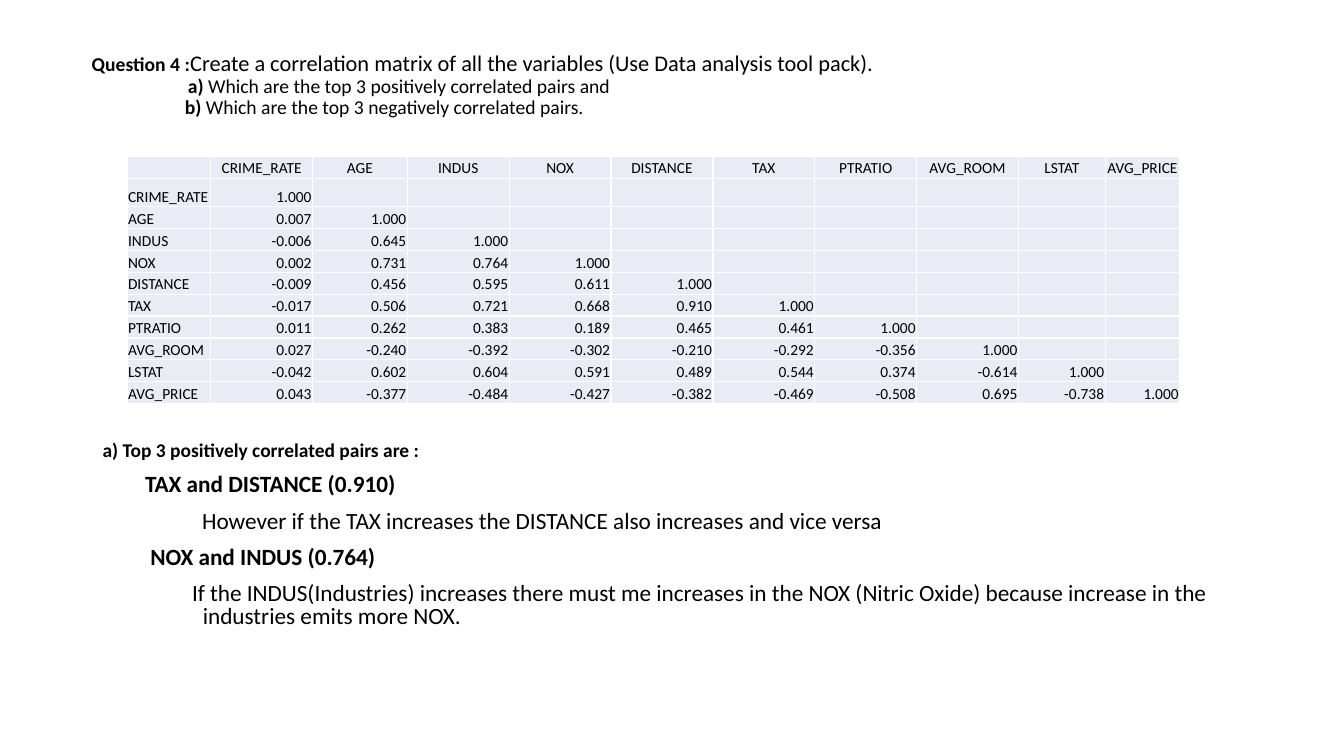
import pptx
import pptx.util
import pptx.dml.color
import pptx.enum.text
import pptx.oxml
import pptx.oxml.ns

INK = {"text": "000000", "cell": "E9EBF5", "rule": "FFFFFF"}
FACE = "Calibri"
WIDE, HIGH = pptx.util.Inches(13.33), pptx.util.Inches(7.5)
ALIGN = pptx.enum.text.PP_ALIGN
ANCHOR = pptx.enum.text.MSO_ANCHOR

NAMES = ["CRIME_RATE", "AGE", "INDUS", "NOX", "DISTANCE", "TAX",
         "PTRATIO", "AVG_ROOM", "LSTAT", "AVG_PRICE"]
LOWER = [
    [1],
    [0.007, 1],
    [-0.006, 0.645, 1],
    [0.002, 0.731, 0.764, 1],
    [-0.009, 0.456, 0.595, 0.611, 1],
    [-0.017, 0.506, 0.721, 0.668, 0.910, 1],
    [0.011, 0.262, 0.383, 0.189, 0.465, 0.461, 1],
    [0.027, -0.240, -0.392, -0.302, -0.210, -0.292, -0.356, 1],
    [-0.042, 0.602, 0.604, 0.591, 0.489, 0.544, 0.374, -0.614, 1],
    [0.043, -0.377, -0.484, -0.427, -0.382, -0.469, -0.508, 0.695, -0.738, 1],
]
COLS = [6.23, 7.58, 7.05] + [7.58] * 6 + [6.45, 5.55]
ROWS = [2.9, 3.75] + [2.9] * 9

TASK = [
    (0, 0, [("Question 4 :", 14, True),
            ("Create a correlation matrix of all the variables "
             "(Use Data analysis tool pack).", 16, False)]),
    (7.16, 0, [("a) ", 14, True),
               ("Which are the top 3 positively correlated pairs and", 14, False)]),
    (6.93, 0, [("b) ", 14, True),
               ("Which are the top 3 negatively correlated pairs.", 14, False)]),
]
PAIRS = [
    (0, 0, [("a) Top 3 positively correlated pairs are :", 13.9, True)]),
    (3.15, 0, [("TAX and DISTANCE (0.910)", 16.6, True)]),
    (7.4, 0, [("However if the TAX increases the DISTANCE also increases "
               "and vice versa", 16.6, False)]),
    (3.55, 0, [("NOX and INDUS (0.764)", 16.6, True)]),
    (7.45, -0.8, [("If the INDUS(Industries) increases there must me increases "
                   "in the NOX (Nitric Oxide) because increase in the "
                   "industries emits more NOX.", 16.6, False)]),
]


def across(share):
    """Return a percentage of the slide's width."""
    return int(WIDE * share / 100)


def down(share):
    """Return a percentage of the slide's height."""
    return int(HIGH * share / 100)


def style(font, size, bold):
    """Set the shared face and ink with a size and weight."""
    font.name, font.size, font.bold = FACE, pptx.util.Pt(size), bold
    font.color.rgb = pptx.dml.color.RGBColor.from_string(INK["text"])


def add_text(slide, box, lines, pitch, gap, anchor):
    """Add a text box of indented lines, each made of styled parts."""
    left, top, width, height = box
    frame = slide.shapes.add_textbox(
        across(left), down(top), across(width), down(height)).text_frame
    frame.word_wrap = True
    frame.vertical_anchor = anchor
    for i, (margin, hang, parts) in enumerate(lines):
        para = frame.paragraphs[0] if i == 0 else frame.add_paragraph()
        para.line_spacing = pitch
        para.space_before = pptx.util.Pt(gap if i else 0)
        props = para._p.get_or_add_pPr()
        props.set("marL", str(across(margin)))
        props.set("indent", str(across(hang)))
        for words, size, bold in parts:
            run = para.add_run()
            run.text = words
            style(run.font if len(parts) > 1 else para.font, size, bold)


def add_rules(cell):
    """Draw thin rules on all four sides of a cell."""
    props = cell._tc.get_or_add_tcPr()
    for side in "LRTB":
        props.append(pptx.oxml.parse_xml(
            f'<a:ln{side} {pptx.oxml.ns.nsdecls("a")} w="12700"><a:solidFill>'
            f'<a:srgbClr val="{INK["rule"]}"/></a:solidFill></a:ln{side}>'))


def fill_cell(cell, words, align):
    """Write one table cell with its rules and fill."""
    add_rules(cell)
    cell.fill.solid()
    cell.fill.fore_color.rgb = pptx.dml.color.RGBColor.from_string(INK["cell"])
    cell.margin_left = cell.margin_right = cell.margin_top = pptx.util.Inches(0.01)
    cell.margin_bottom = 0
    cell.vertical_anchor = ANCHOR.BOTTOM
    para = cell.text_frame.paragraphs[0]
    para.alignment = align
    if words:
        para.add_run().text = words
    else:
        para._p.get_or_add_endParaRPr().set("sz", "1100")
    style(para.font, 11, False)


def add_matrix(slide, left, top):
    """Add the lower triangle of correlations as a table."""
    table = slide.shapes.add_table(
        len(ROWS), len(COLS), across(left), down(top),
        across(sum(COLS)), down(sum(ROWS))).table
    table.first_row = table.horz_banding = False
    for col, share in zip(table.columns, COLS):
        col.width = across(share)
    for row, share in zip(table.rows, ROWS):
        row.height = down(share)
    grid = [[""] + NAMES]
    for name, nums in zip(NAMES, LOWER):
        blanks = [""] * (len(NAMES) - len(nums))
        grid.append([name] + [f"{num:.3f}" for num in nums] + blanks)
    for r, line in enumerate(grid):
        for c, words in enumerate(line):
            align = ALIGN.CENTER if r == 0 else ALIGN.RIGHT if c else ALIGN.LEFT
            fill_cell(table.cell(r, c), words, align)


def main():
    """Build and save the slide."""
    deck = pptx.Presentation()
    deck.slide_width, deck.slide_height = WIDE, HIGH
    slide = deck.slides.add_slide(deck.slide_layouts[6])
    add_text(slide, (6.08, 5.07, 87, 12.53), TASK, 0.9, 0, ANCHOR.MIDDLE)
    add_text(slide, (6.9, 57.87, 86.27, 32.53), PAIRS, 0.8, 10, ANCHOR.TOP)
    add_matrix(slide, 9.45, 20.67)
    deck.save("out.pptx")


if __name__ == "__main__":
    main()
